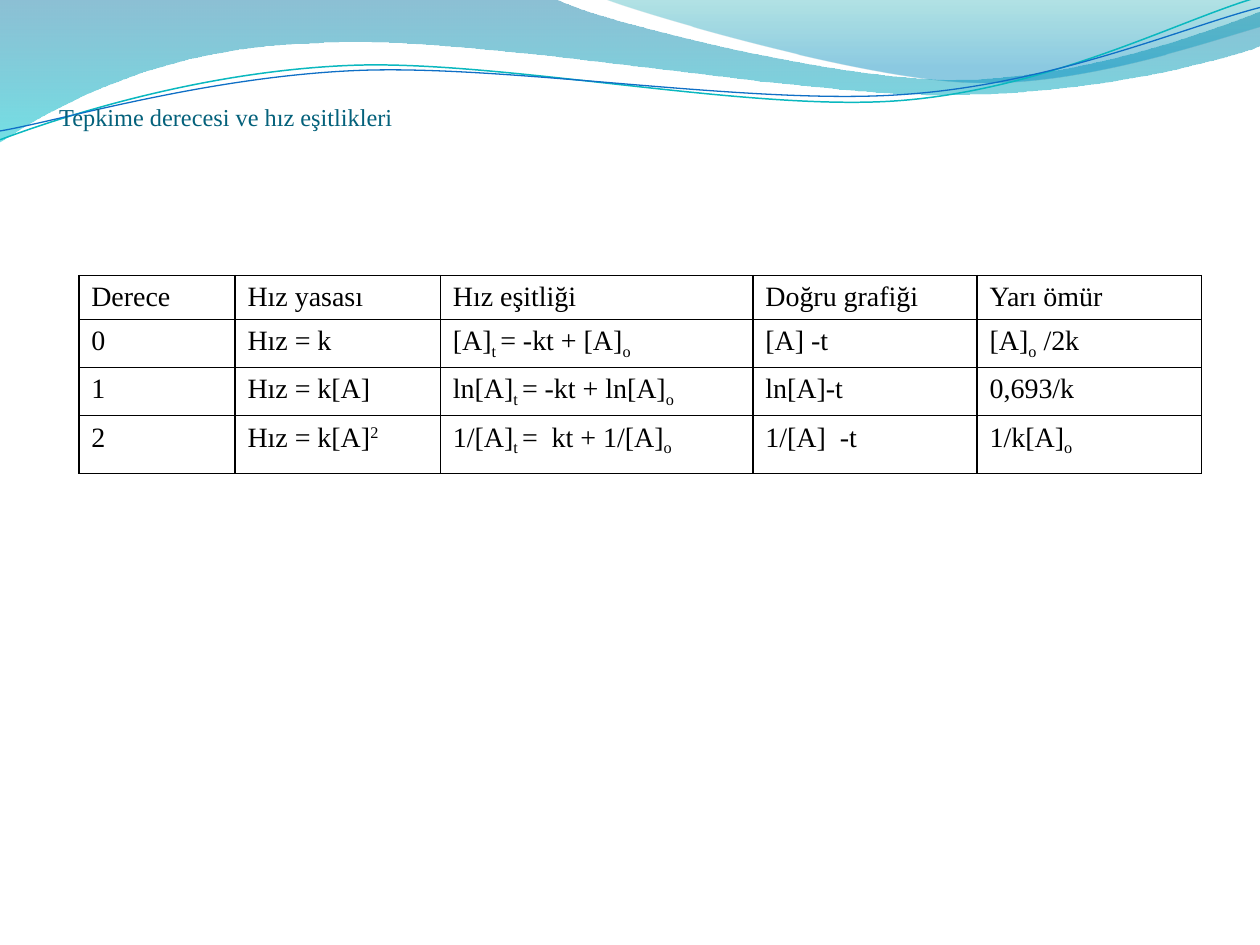
import math

import pptx
import pptx.dml.color
import pptx.enum.text
import pptx.oxml
import pptx.oxml.ns
import pptx.util

Inches, Pt = pptx.util.Inches, pptx.util.Pt
RGBColor = pptx.dml.color.RGBColor
NS = pptx.oxml.ns.nsdecls("a")

BLACK = RGBColor(0x00, 0x00, 0x00)
WHITE = RGBColor(0xFF, 0xFF, 0xFF)
TITLE = RGBColor(0x04, 0x61, 0x7B)
DEEP_BLUE = RGBColor(0x00, 0x74, 0xA1)
AQUA = RGBColor(0x00, 0xC6, 0xCF)
TEAL = RGBColor(0x00, 0xA1, 0xA9)
SKY = RGBColor(0x00, 0x8B, 0xBF)
LINE_TEAL = RGBColor(0x0A, 0xB8, 0xBF)
LINE_BLUE = RGBColor(0x0F, 0x6F, 0xC6)

FONT = "Times New Roman"
SUB, SUPER = -25000, 30000
TILT = 357.3  # degrees, of both thin curves
TILT_CENTER = (5, 0.58)

# Waves: a start point, then points (1 pair) and curves (3 pairs).
BACK_WAVE = [
    [(0, 0)], [(4.4, -0.01)],
    [(4.76, 0.17), (6.64, 0.63), (7.58, 0.63)],
    [(8.53, 0.63), (9.58, 0.26), (10, 0.09)],
    [(10.01, 0.36)],
    [(9.83, 0.44), (8.7, 0.76), (7.46, 0.75)],
    [(6.22, 0.75), (3.82, 0.28), (2.57, 0.34)],
    [(1.29, 0.36), (0.46, 0.83), (-0.01, 1.13)],
]
FRONT_WAVE = [
    [(4.79, -0.01)],
    [(5.09, 0.11), (6.82, 0.62), (7.69, 0.65)],
    [(8.56, 0.69), (9.61, 0.32), (10, 0.21)],
    [(10, 0)],
]
TEAL_CURVE = [
    [(0, 1.11)],
    [(0.48, 0.93), (1.58, 0.57), (2.77, 0.52)],
    [(3.95, 0.47), (5.93, 0.89), (7.13, 0.8)],
    [(8.33, 0.71), (9.38, 0.15), (9.98, -0.02)],
]
BLUE_CURVE = [
    [(0, 1.04)],
    [(0.47, 0.96), (1.64, 0.61), (2.83, 0.56)],
    [(4.03, 0.51), (5.97, 0.84), (7.17, 0.75)],
    [(8.36, 0.67), (9.41, 0.21), (10, 0.06)],
]

# ~ encloses a subscript, ^ a superscript.
RATE_LAWS = [
    ["Derece", "Hız yasası", "Hız eşitliği", "Doğru grafiği", "Yarı ömür"],
    ["0", "Hız = k", "[A]~t ~= -kt + [A]~o~", "[A] -t", "[A]~o~ /2k"],
    ["1", "Hız = k[A]", "ln[A]~t ~= -kt + ln[A]~o~", "ln[A]-t", "0,693/k"],
    ["2", "Hız = k[A]^2^", "1/[A]~t ~=  kt + 1/[A]~o~", "1/[A]  -t", "1/k[A]~o~"],
]
COLUMNS = [1.24, 1.63, 2.48, 1.78, 1.78]
ROWS = [0.34, 0.34, 0.34, 0.46]


def untilt(point):
    """Place a point so that rotating its shape by TILT brings it back."""
    angle = math.radians(-TILT)
    cx, cy = TILT_CENTER
    x, y = point[0] - cx, point[1] - cy
    return (cx + x * math.cos(angle) - y * math.sin(angle),
            cy + x * math.sin(angle) + y * math.cos(angle))


def add_outline(s, segments, close):
    """Build the outline through the end points, then bend its curved parts."""
    segments = [[(Inches(x), Inches(y)) for x, y in seg] for seg in segments]
    builder = s.shapes.build_freeform(*segments[0][0])
    builder.add_line_segments([seg[-1] for seg in segments[1:]], close=close)
    sp = builder.convert_to_shape()
    sp.shadow.inherit = False
    lines = sp._element.findall(".//" + pptx.oxml.ns.qn("a:lnTo"))
    for line, seg in zip(lines, segments[1:]):
        if len(seg) == 3:
            pts = "".join(f'<a:pt x="{x - sp.left}" y="{y - sp.top}"/>' for x, y in seg)
            line.getparent().replace(line, pptx.oxml.parse_xml(
                f"<a:cubicBezTo {NS}>{pts}</a:cubicBezTo>"))
    return sp


def add_wave(s, segments, stops):
    """Stops are (position, colour, opacity in percent), from top to bottom."""
    sp = add_outline(s, segments, True)
    sp.line.fill.background()
    sp.fill.gradient()
    sp.fill.gradient_angle = 270
    for stop, (position, color, opacity) in zip(sp.fill.gradient_stops, stops):
        stop.position = position
        stop.color.rgb = color
    colors = sp._element.spPr.findall(".//" + pptx.oxml.ns.qn("a:srgbClr"))
    for clr, (position, color, opacity) in zip(colors, stops):
        clr.append(pptx.oxml.parse_xml(f'<a:alpha {NS} val="{opacity * 1000}"/>'))


def add_curve(s, segments, color, width):
    sp = add_outline(s, [[untilt(pt) for pt in seg] for seg in segments], False)
    sp.rotation = TILT
    sp.fill.background()
    sp.line.color.rgb = color
    sp.line.width = Pt(width)


def write(tf, text, size, color=BLACK, baseline=0):
    p = tf.paragraphs[0]
    for i, part in enumerate(text.split("~")):
        for j, piece in enumerate(part.split("^")):
            if not piece:
                continue
            r = p.add_run()
            r.text = piece
            r.font.name, r.font.size = FONT, Pt(size)
            r.font.color.rgb = color
            shift = SUB if i % 2 else SUPER if j % 2 else baseline
            if shift:
                r.font._element.set("baseline", str(shift))


def add_borders(cell):
    tcPr = cell._tc.get_or_add_tcPr()
    for i, side in enumerate("LRTB"):
        tcPr.insert(i, pptx.oxml.parse_xml(
            f'<a:ln{side} {NS} w="{Pt(1)}"><a:solidFill>'
            f'<a:srgbClr val="{BLACK}"/></a:solidFill></a:ln{side}>'))


def add_rate_table(s, left, top, height):
    frame = s.shapes.add_table(
        len(ROWS), len(COLUMNS), left, top, Inches(sum(COLUMNS)), height)
    table = frame.table
    table.first_row = table.horz_banding = False
    for column, width in zip(table.columns, COLUMNS):
        column.width = Inches(width)
    for row, row_height, texts in zip(table.rows, ROWS, RATE_LAWS):
        row.height = Inches(row_height)
        for cell, text in zip(row.cells, texts):
            cell.fill.solid()
            cell.fill.fore_color.rgb = WHITE
            add_borders(cell)
            write(cell.text_frame, text, size=16)
    frame.height = height


def add_title(s, text):
    box = s.shapes.add_textbox(Inches(0.47), Inches(0.62), Inches(9), Inches(0.55))
    tf = box.text_frame
    tf.word_wrap = True
    tf.vertical_anchor = pptx.enum.text.MSO_ANCHOR.BOTTOM
    tf.margin_left = tf.margin_right = tf.margin_bottom = 0
    write(tf, text, size=24, color=TITLE, baseline=SUPER)


def main():
    prs = pptx.Presentation()
    prs.slide_width, prs.slide_height = Inches(10), Inches(7.5)
    s = prs.slides.add_slide(prs.slide_layouts[6])
    add_wave(s, BACK_WAVE, [(0, DEEP_BLUE, 45), (1, AQUA, 55)])
    add_wave(s, FRONT_WAVE, [(0, TEAL, 30), (0.8, SKY, 45)])
    add_curve(s, TEAL_CURVE, LINE_TEAL, 0.85)
    add_curve(s, BLUE_CURVE, LINE_BLUE, 0.75)
    add_rate_table(s, prs.slide_width // 16, prs.slide_height * 7 // 24, Inches(1.56))
    add_title(s, "Tepkime derecesi ve hız eşitlikleri")
    prs.save("out.pptx")


if __name__ == "__main__":
    main()
